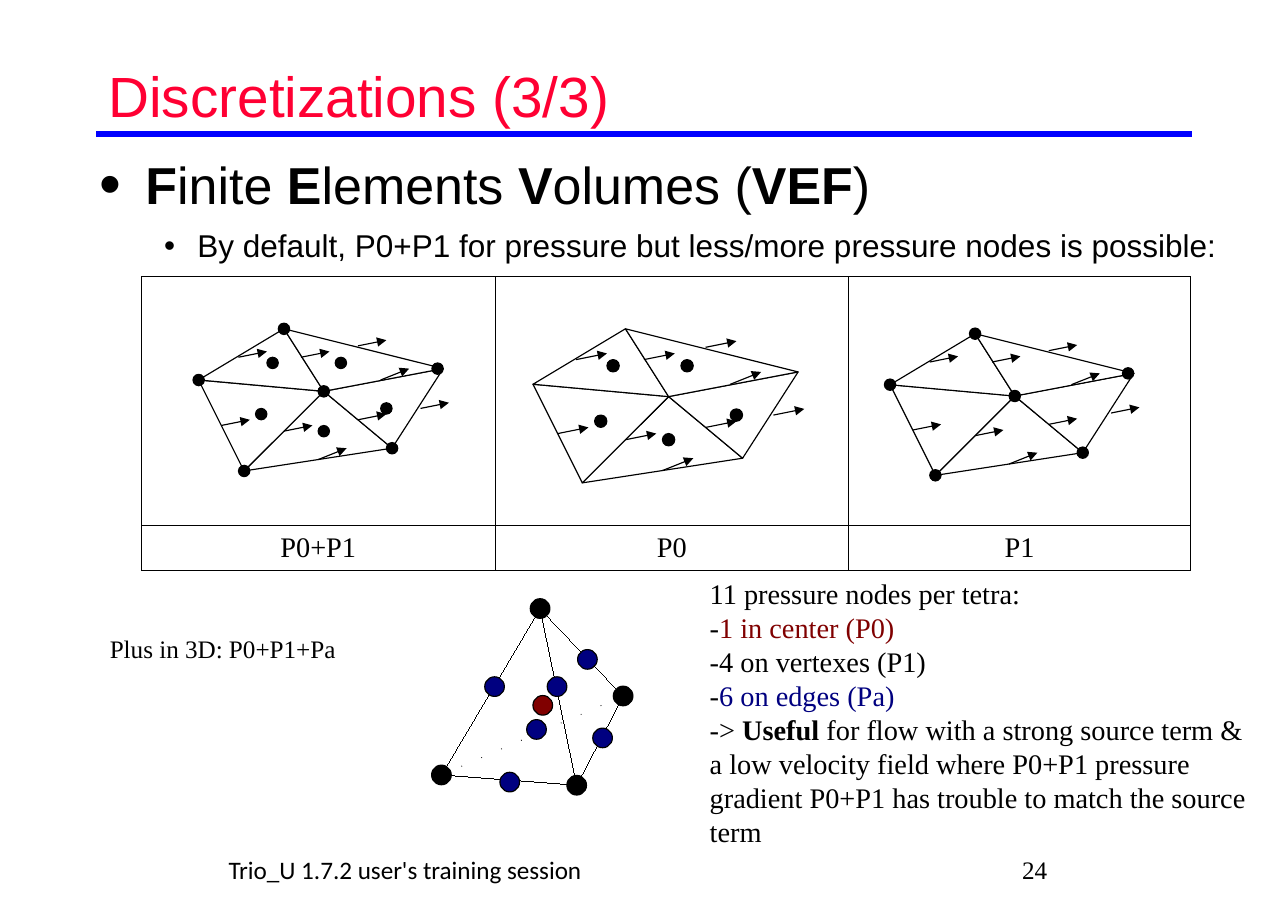
from dataclasses import dataclass
from typing import Any, Optional

from lxml import etree
from pptx import Presentation
from pptx.dml.color import RGBColor
from pptx.enum.shapes import MSO_CONNECTOR, MSO_SHAPE
from pptx.enum.text import MSO_ANCHOR, PP_ALIGN
from pptx.oxml import parse_xml
from pptx.oxml.ns import nsdecls, qn
from pptx.slide import Slide
from pptx.util import Cm, Pt

OVAL = MSO_SHAPE.OVAL
STRAIGHT = MSO_CONNECTOR.STRAIGHT
TOP, MIDDLE = MSO_ANCHOR.TOP, MSO_ANCHOR.MIDDLE
LEFT, CENTER = PP_ALIGN.LEFT, PP_ALIGN.CENTER
CM_PER_INCH = 2.54
Point = tuple[float, float]
Box = tuple[float, float, float, float]


@dataclass(frozen=True)
class Theme:
    black: str = "000000"
    white: str = "FFFFFF"
    title: str = "FF0033"
    rule: str = "0000FF"
    edge_node: str = "000080"
    center_node: str = "800000"
    sans: str = "Arial"
    serif: str = "Times New Roman"
    footer: str = "Calibri"
    title_size: float = 36
    heading_size: float = 33
    item_size: float = 20
    text_size: float = 18
    small_size: float = 16
    thin: float = 0.75


THEME = Theme()


@dataclass(frozen=True)
class Run:
    text: str
    bold: bool = False
    color: Optional[str] = None


@dataclass(frozen=True)
class Bullet:
    margin: float
    hang: float
    scale: int


@dataclass(frozen=True)
class Line:
    runs: list[Run]
    size: Optional[float] = None
    before: float = 0
    bullet: Optional[Bullet] = None


@dataclass(frozen=True)
class MeshPanel:
    label: str
    origin: Point
    width: float
    cell_nodes: bool
    vertex_nodes: bool


# Mesh geometry, in grid units from the panel origin
MESH_COLUMNS = 43
W, N, C, E, SE, S = (0, 9), (15, 0), (22, 11), (MESH_COLUMNS, 7), (34, 21), (8, 25)
VERTEX_NODES = [W, N, C, (42, 7), SE, S]
TRIANGLES = [(S, C, SE), (S, W, C), (C, E, SE), (W, N, C), (N, C, E)]
CELL_NODES = [(22, 18), (33, 14), (25, 6), (13, 6), (11, 15)]
FLAT_ARROWS = [(39, 14), (28, 3), (4, 17), (15, 18), (18, 5), (7, 5), (28, 16)]
STEEP_ARROWS = [(21, 23), (32, 9)]
PANELS = [
    MeshPanel("P0+P1", (4.45, 7.37), 5.48, True, True),
    MeshPanel("P0", (11.94, 7.37), 5.94, True, False),
    MeshPanel("P1", (19.94, 7.48), 5.46, False, True),
]

# Tetrahedron nodes, in cm
APEX, BACK, RIGHT, FRONT = (12.1, 13.64), (9.89, 17.37), (13.96, 15.6), (12.92, 17.6)
TETRA_CENTER = (12.16, 15.81)
EDGE_NODES = [(13.5, 16.54), (11.42, 17.53), (11.08, 15.39),
              (13.16, 14.78), (12.02, 16.35), (12.48, 15.39)]


def rgb(color: str) -> RGBColor:
    return RGBColor.from_string(color)


def write_text(frame: Any, lines: list[Line], *, font: str = THEME.serif,
               size: float = THEME.text_size, color: str = THEME.black,
               align: PP_ALIGN = LEFT) -> None:
    for i, line in enumerate(lines):
        paragraph = frame.add_paragraph() if i else frame.paragraphs[0]
        paragraph.alignment = align
        paragraph.space_before = Pt(line.before)
        if line.bullet:
            props = paragraph._p.get_or_add_pPr()
            props.set("marL", str(Cm(line.bullet.margin)))
            props.set("indent", str(-Cm(line.bullet.hang)))
            bullet_color = etree.SubElement(props, qn("a:buClr"))
            etree.SubElement(bullet_color, qn("a:srgbClr"), val=color)
            etree.SubElement(props, qn("a:buSzPct"), val=str(line.bullet.scale * 1000))
            etree.SubElement(props, qn("a:buFont"), typeface=THEME.sans)
            etree.SubElement(props, qn("a:buChar"), char="•")
        for part in line.runs:
            run = paragraph.add_run()
            run.text = part.text
            run.font.name, run.font.size = font, Pt(line.size or size)
            run.font.bold = part.bold
            run.font.color.rgb = rgb(part.color or color)


def add_text(slide: Slide, box: Box, lines: list[Line], anchor: MSO_ANCHOR = TOP,
             **text_format: Any) -> None:
    frame = slide.shapes.add_textbox(*map(Cm, box)).text_frame
    frame.word_wrap = True
    frame.vertical_anchor = anchor
    write_text(frame, lines, **text_format)


def add_line(slide: Slide, start: Point, end: Point, color: str = THEME.black,
             width: float = THEME.thin, arrow: bool = False, dotted: bool = False) -> None:
    line = slide.shapes.add_connector(STRAIGHT, *map(Cm, start + end))
    line.line.color.rgb = rgb(color)
    line.line.width = Pt(width)
    stroke = line.line._get_or_add_ln()
    if dotted:
        dashes = etree.SubElement(stroke, qn("a:custDash"))
        etree.SubElement(dashes, qn("a:ds"), d="100000", sp="2600000")
    if arrow:
        etree.SubElement(stroke, qn("a:tailEnd"), type="triangle")
    etree.SubElement(line._element.spPr, qn("a:effectLst"))


def add_node(slide: Slide, center: Point, diameter: float, color: str = THEME.black) -> None:
    corner = [Cm(c - diameter / 2) for c in center]
    node = slide.shapes.add_shape(OVAL, *corner, Cm(diameter), Cm(diameter))
    node.shadow.inherit = False
    node.fill.solid()
    node.fill.fore_color.rgb = rgb(color)
    node.line.color.rgb = rgb(THEME.black)
    node.line.width = Pt(THEME.thin)


def add_outline(slide: Slide, points: list[Point], width: float, filled: bool) -> None:
    start, *rest = [(Cm(x), Cm(y)) for x, y in points]
    builder = slide.shapes.build_freeform(*start, scale=1.0)
    builder.add_line_segments(rest, close=filled)
    outline = builder.convert_to_shape()
    outline.shadow.inherit = False
    if filled:
        outline.fill.solid()
        outline.fill.fore_color.rgb = rgb(THEME.white)
    else:
        outline.fill.background()
    outline.line.color.rgb = rgb(THEME.black)
    # A hairline needs its zero width written out
    outline.line._get_or_add_ln().set("w", str(Pt(width)))


def add_label_table(slide: Slide) -> None:
    table = slide.shapes.add_table(2, 3, Cm(3.17), Cm(6.19), Cm(23.5), Cm(6.55)).table
    for column, width in zip(table.columns, (7.92, 7.92, 7.66)):
        column.width = Cm(width)
    for row, height in zip(table.rows, (5.58, 0.97)):
        row.height = Cm(height)
    for cell in table.iter_cells():
        cell.margin_left = cell.margin_right = Cm(0.1)
        cell.vertical_anchor = MIDDLE
        props = cell._tc.get_or_add_tcPr()
        for side in ("lnL", "lnR", "lnT", "lnB"):
            props.append(parse_xml(
                f'<a:{side} {nsdecls("a")} w="762"><a:solidFill>'
                f'<a:srgbClr val="{THEME.black}"/></a:solidFill></a:{side}>'))
        cell.fill.solid()
        cell.fill.fore_color.rgb = rgb(THEME.white)
    for column, panel in enumerate(PANELS):
        write_text(table.cell(1, column).text_frame, [Line([Run(panel.label)])], align=CENTER)


def add_mesh(slide: Slide, panel: MeshPanel) -> None:
    unit = panel.width / MESH_COLUMNS

    def place(x: float, y: float) -> Point:
        return panel.origin[0] + x * unit, panel.origin[1] + y * unit

    for triangle in TRIANGLES:
        add_outline(slide, [place(*p) for p in triangle], THEME.thin, True)
    for starts, rise in ((FLAT_ARROWS, 1), (STEEP_ARROWS, 2)):
        for x, y in starts:
            add_line(slide, place(x, y), place(x + 5, y - rise), arrow=True)
    for node in CELL_NODES * panel.cell_nodes + VERTEX_NODES * panel.vertex_nodes:
        add_node(slide, place(*node), 2 * unit)


def add_tetrahedron(slide: Slide) -> None:
    add_outline(slide, [APEX, RIGHT, FRONT, APEX, BACK, FRONT], 0, False)
    add_line(slide, BACK, RIGHT, width=0.5, dotted=True)
    for nodes, color in (([APEX, BACK, RIGHT, FRONT], THEME.black),
                         (EDGE_NODES, THEME.edge_node), ([TETRA_CENTER], THEME.center_node)):
        for node in nodes:
            add_node(slide, node, 0.44, color)


def main() -> None:
    deck = Presentation()
    deck.slide_width, deck.slide_height = Cm(11.36 * CM_PER_INCH), Cm(8.03 * CM_PER_INCH)
    slide = deck.slides.add_slide(deck.slide_layouts[6])

    # Title and rule
    add_text(slide, (2.18, 0.66, 24.5, 2.95), [Line([Run("Discretizations (3/3)")])], MIDDLE,
             font=THEME.sans, size=THEME.title_size, color=THEME.title)
    add_line(slide, (2.16, 3), (26.7, 3), THEME.rule, 4)

    # Heading and item
    heading = [Run("F", True), Run("inite "), Run("E", True), Run("lements "),
               Run("V", True), Run("olumes ("), Run("VEF", True), Run(")")]
    item = "By default, P0+P1 for pressure but less/more pressure nodes is possible:"
    add_text(slide, (1.99, 3.3, 26.24, 2.7), [
        Line(heading, THEME.heading_size, bullet=Bullet(1.02, 1.02, 120)),
        Line([Run(item)], THEME.item_size, 7.2, Bullet(2.18, 0.74, 100)),
    ], font=THEME.sans)

    # Meshes over their table
    add_label_table(slide)
    for panel in PANELS:
        add_mesh(slide, panel)

    # Tetrahedron with its explanation
    add_tetrahedron(slide)
    add_text(slide, (2.21, 14.08, 8.13, 0.94), [Line([Run("Plus in 3D: P0+P1+Pa")])],
             size=THEME.small_size)
    add_text(slide, (15.65, 12.78, 12.7, 6.35), [
        Line([Run("11 pressure nodes per tetra:")]),
        Line([Run("-"), Run("1 in center (P0)", color=THEME.center_node)]),
        Line([Run("-4 on vertexes (P1)")]),
        Line([Run("-"), Run("6 on edges (Pa)", color=THEME.edge_node)]),
        Line([Run("-> "), Run("Useful", True),
              Run(" for flow with a strong source term & a low velocity field where P0+P1 "
                  "pressure gradient P0+P1 has trouble to match the source term")]),
    ])

    # Footer and page number
    add_text(slide, (4.87, 18.82, 18, 1.35), [Line([Run("Trio_U 1.7.2 user's training session")])],
             MIDDLE, font=THEME.footer, size=THEME.small_size)
    add_text(slide, (22.65, 18.82, 5.8, 1.32), [Line([Run("24")])], MIDDLE, size=THEME.small_size)
    deck.save("out.pptx")


if __name__ == "__main__":
    main()
